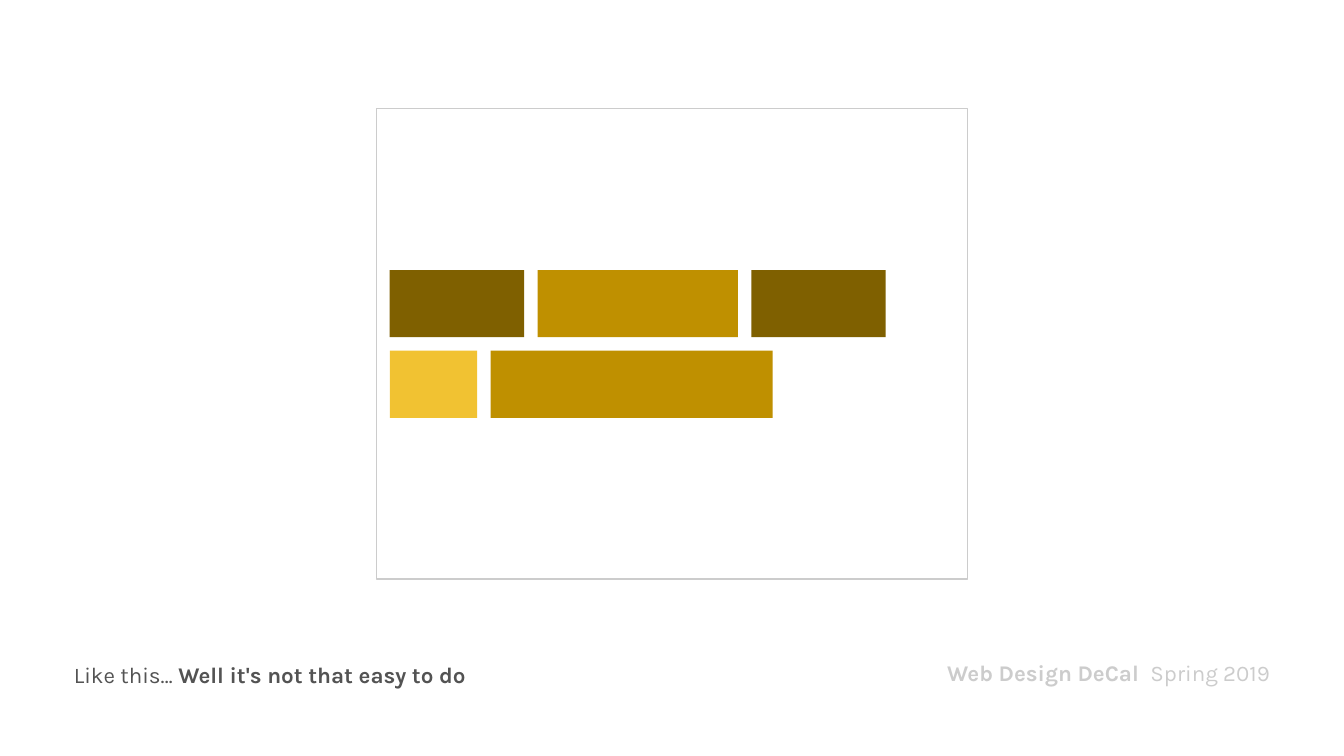
import pptx
import pptx.dml.color
import pptx.enum.shapes
import pptx.enum.text
import pptx.util

Pt = pptx.util.Pt
ALIGN = pptx.enum.text.PP_ALIGN

GAP = 7.2
BLOCK_HEIGHT = 36
FRAME_LEFT = 201.6
ROWS_TOP = 144.7
DARK, MEDIUM, LIGHT = "7F6000", "BF9000", "F1C232"
ROWS = [
    [(72, DARK), (107.3, MEDIUM), (72, DARK)],
    [(46.8, LIGHT), (151.2, MEDIUM)],
]


def rgb(value):
    return pptx.dml.color.RGBColor.from_string(value)


def add_rect(slide, left, top, width, height, fill=None, line=None):
    sp = slide.shapes.add_shape(
        pptx.enum.shapes.MSO_SHAPE.RECTANGLE,
        Pt(left), Pt(top), Pt(width), Pt(height))
    sp.shadow.inherit = False
    if fill:
        sp.fill.solid()
        sp.fill.fore_color.rgb = rgb(fill)
    else:
        sp.fill.background()
    if line:
        sp.line.color.rgb = rgb(line)
        sp.line.width = Pt(0.75)
    else:
        sp.line.fill.background()
    return sp


def add_text(slide, runs, left, top, width, height, size=12, color="535353",
             font="Karla", align=ALIGN.LEFT, spacing=None, before=None):
    tf = slide.shapes.add_textbox(
        Pt(left), Pt(top), Pt(width), Pt(height)).text_frame
    tf.word_wrap = True
    tf.vertical_anchor = pptx.enum.text.MSO_ANCHOR.MIDDLE
    tf.margin_left = tf.margin_top = tf.margin_right = tf.margin_bottom = 0
    p = tf.paragraphs[0]
    p.alignment = align
    if spacing is not None:
        p.line_spacing = spacing
    if before is not None:
        p.space_before = Pt(before)
    for text, bold in runs:
        r = p.add_run()
        r.text = text
        r.font.name = font
        r.font.size = Pt(size)
        r.font.bold = bold
        r.font.color.rgb = rgb(color)


def add_block_rows(slide, left, top):
    for i, row in enumerate(ROWS):
        x = left
        y = top + i * (BLOCK_HEIGHT + GAP)
        for width, fill in row:
            add_rect(slide, x, y, width, BLOCK_HEIGHT, fill=fill)
            x += width + GAP


def main():
    prs = pptx.Presentation()
    prs.slide_width = Pt(720)
    prs.slide_height = Pt(405)
    slide = prs.slides.add_slide(prs.slide_layouts[6])
    add_text(slide, [("Web Design DeCal  ", True), ("Spring 2019", False)],
             471.6, 351.4, 208.8, 18, color="CCCCCC", align=ALIGN.RIGHT)
    add_rect(slide, FRAME_LEFT, 58.3, 316.8, 252, line="CCCCCC")
    add_block_rows(slide, FRAME_LEFT + GAP, ROWS_TOP)
    add_text(slide, [("Like this… ", False),
                     ("Well it's not that easy to do", True)],
             39.6, 351.4, 424.8, 18, spacing=1.15, before=4)
    prs.save("out.pptx")


if __name__ == "__main__":
    main()
